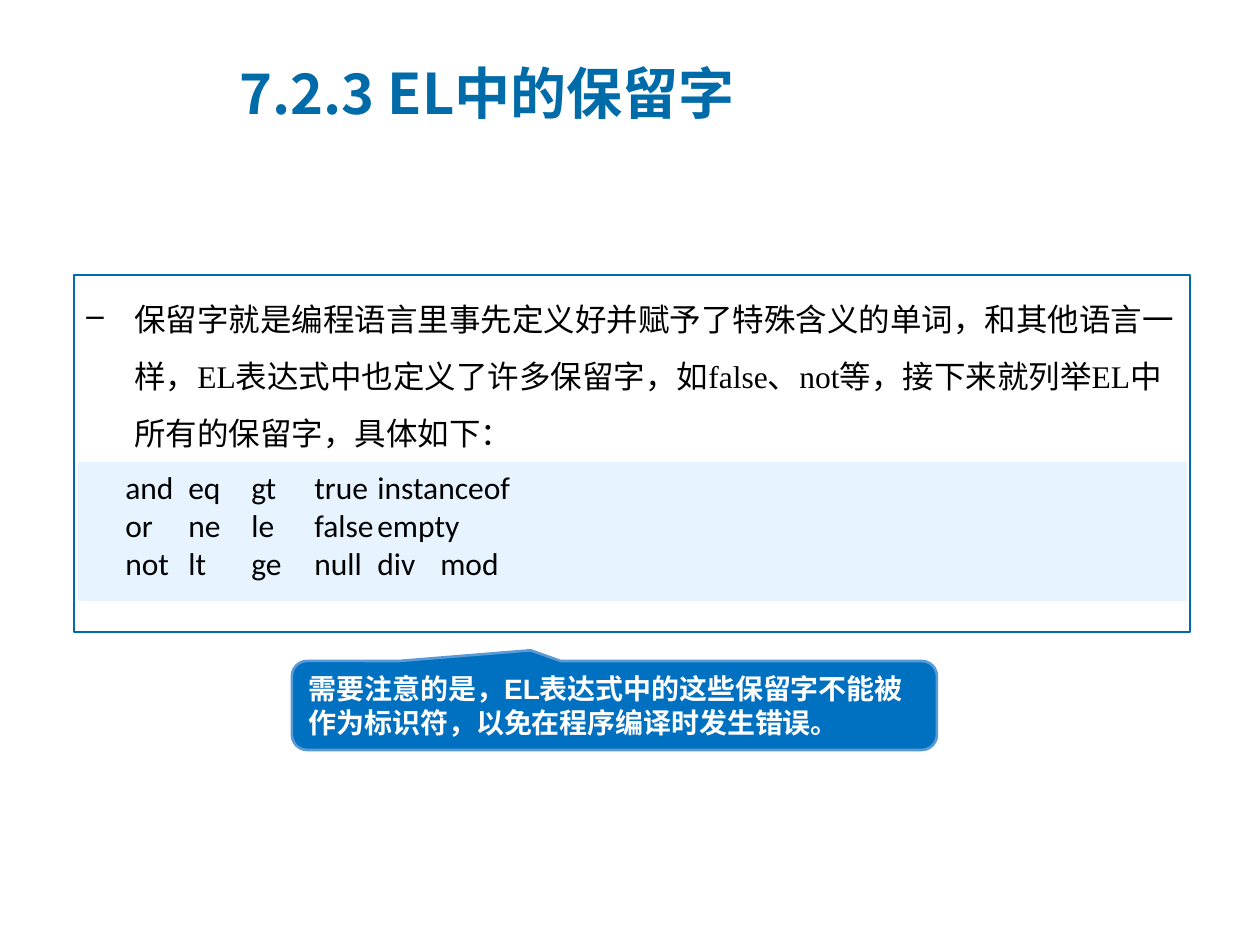
from dataclasses import dataclass
from pptx import Presentation
from pptx.dml.color import RGBColor
from pptx.enum.shapes import MSO_SHAPE
from pptx.enum.text import MSO_ANCHOR, PP_ALIGN
from pptx.oxml.ns import qn
from pptx.util import Pt
from lxml import etree

RECT = MSO_SHAPE.RECTANGLE
CALLOUT = MSO_SHAPE.ROUNDED_RECTANGULAR_CALLOUT
TOP, MIDDLE = MSO_ANCHOR.TOP, MSO_ANCHOR.MIDDLE
LEFT = PP_ALIGN.LEFT
EMU_PER_PX = 914400 / 126


@dataclass(frozen=True)
class TextStyle:
    font: str
    east_asian: str
    size: int
    color: str
    bold: bool = False


@dataclass(frozen=True)
class Theme:
    accent: str = "006BA9"
    panel: str = "E7F4FF"
    callout: str = "0070C0"
    callout_edge: str = "5B9BD5"
    line_width: float = 1.5
    title: TextStyle = TextStyle("Noto Sans CJK SC", "Noto Sans CJK SC", 32, "006BA9", True)
    body: TextStyle = TextStyle("Times New Roman", "Calibri", 18, "000000")
    words: TextStyle = TextStyle("Calibri", "Calibri", 18, "000000")
    note: TextStyle = TextStyle("Arial", "Calibri", 16, "FFFFFF", True)


def px(n):
    return round(n * EMU_PER_PX)


def rgb(value):
    return RGBColor.from_string(value)


class SlideBuilder:
    def __init__(self, slide, theme):
        self.slide = slide
        self.theme = theme

    def set_text(self, sp, lines, style, anchor=TOP):
        tf = sp.text_frame
        tf.word_wrap = True
        tf.vertical_anchor = anchor
        tf.text = "\n".join(lines)
        for p in tf.paragraphs:
            p.alignment = LEFT
            for r in p.runs:
                r.font.name = style.font
                r.font.size = Pt(style.size)
                r.font.bold = style.bold
                r.font.color.rgb = rgb(style.color)
                ea = etree.SubElement(r._r.get_or_add_rPr(), qn("a:ea"))
                ea.set("typeface", style.east_asian)

    def text(self, box, line, style, anchor=TOP):
        sp = self.slide.shapes.add_textbox(*map(px, box))
        self.set_text(sp, [line], style, anchor)
        return sp

    def bullet_text(self, box, line, style, bullet, indent, spacing):
        p = self.text(box, line, style).text_frame.paragraphs[0]
        p.line_spacing = spacing
        pPr = p._p.get_or_add_pPr()
        pPr.set("marL", str(px(indent)))
        pPr.set("indent", str(-px(indent)))
        etree.SubElement(pPr, qn("a:buChar")).set("char", bullet)

    def shape(self, kind, box, fill=None, line=None):
        sp = self.slide.shapes.add_shape(kind, *map(px, box))
        sp.shadow.inherit = False
        if fill:
            sp.fill.solid()
            sp.fill.fore_color.rgb = rgb(fill)
        else:
            sp.fill.background()
        if line:
            sp.line.color.rgb = rgb(line)
            sp.line.width = Pt(self.theme.line_width)
        else:
            sp.line.fill.background()
        return sp

    def word_panel(self, box, rows, indent, stops):
        sp = self.shape(RECT, box, self.theme.panel)
        self.set_text(sp, ["\t".join(row) for row in rows], self.theme.words)
        for p in sp.text_frame.paragraphs:
            pPr = p._p.get_or_add_pPr()
            pPr.set("marL", str(px(indent)))
            pPr.set("indent", "0")
            tabs = etree.SubElement(pPr, qn("a:tabLst"))
            for stop in stops:
                tab = etree.SubElement(tabs, qn("a:tab"))
                tab.set("pos", str(px(stop)))
                tab.set("algn", "l")

    def callout(self, box, line, adjustments):
        sp = self.shape(CALLOUT, box, self.theme.callout, self.theme.callout_edge)
        for i, value in enumerate(adjustments):
            sp.adjustments[i] = value
        self.set_text(sp, [line], self.theme.note)


def main():
    prs = Presentation()
    prs.slide_width, prs.slide_height = px(1260), px(945)
    theme = Theme()
    s = SlideBuilder(prs.slides.add_slide(prs.slide_layouts[6]), theme)

    s.bullet_text(
        (74, 275, 1116, 168),
        "保留字就是编程语言里事先定义好并赋予了特殊含义的单词，和其他语言一样，"
        "EL表达式中也定义了许多保留字，如false、not等，接下来就列举EL中所有的保留字，具体如下：",
        theme.body, "–", 48, 1.5)
    s.shape(RECT, (74, 275, 1116, 357), line=theme.accent)
    reserved_words = [
        ("and", "eq", "gt", "true", "instanceof"),
        ("or", "ne", "le", "false", "empty"),
        ("not", "lt", "ge", "null", "div", "mod"),
    ]
    s.word_panel((78, 462, 1109, 139), reserved_words, 35, (161, 301, 427, 553, 679))
    s.callout((292, 661, 645, 89),
              "需要注意的是，EL表达式中的这些保留字不能被作为标识符，以免在程序编译时发生错误。",
              (-0.13, -0.62, 0.17))
    s.text((227, 54, 854, 77), "7.2.3 EL中的保留字", theme.title, MIDDLE)
    prs.save("out.pptx")


if __name__ == "__main__":
    main()
